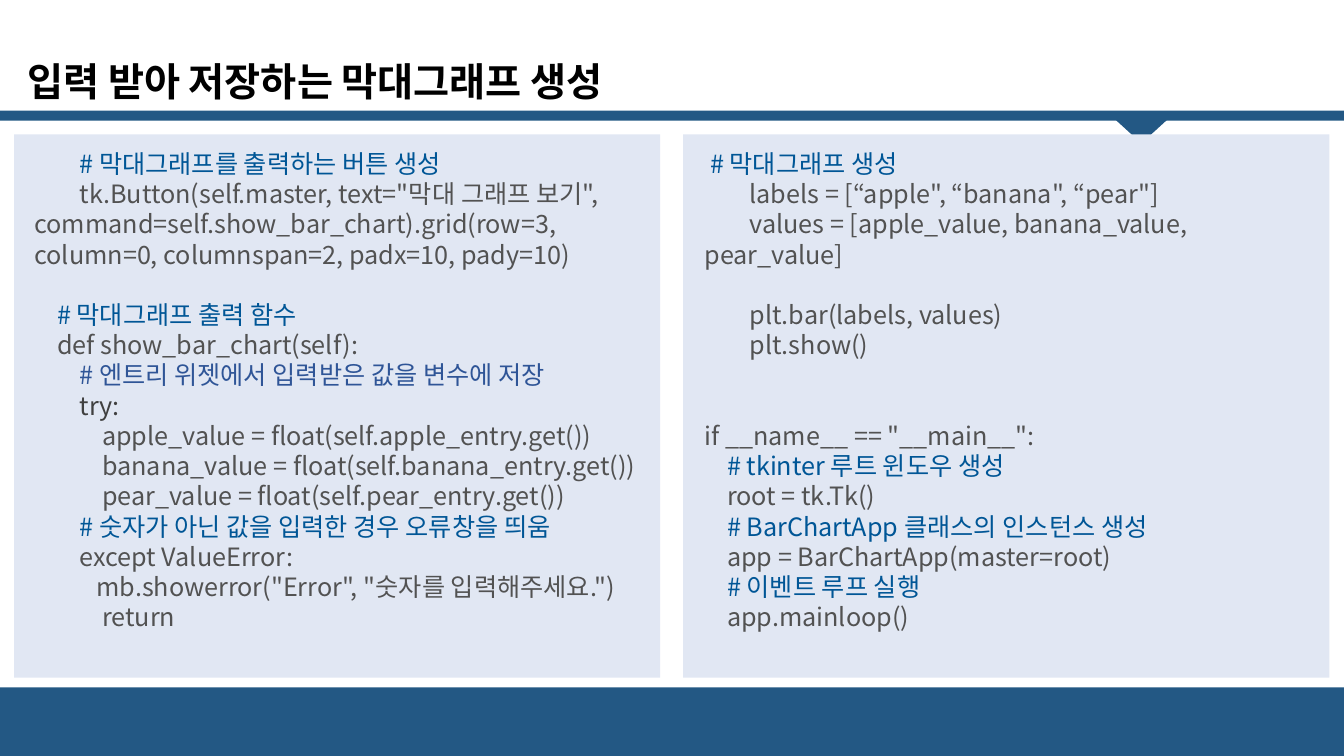
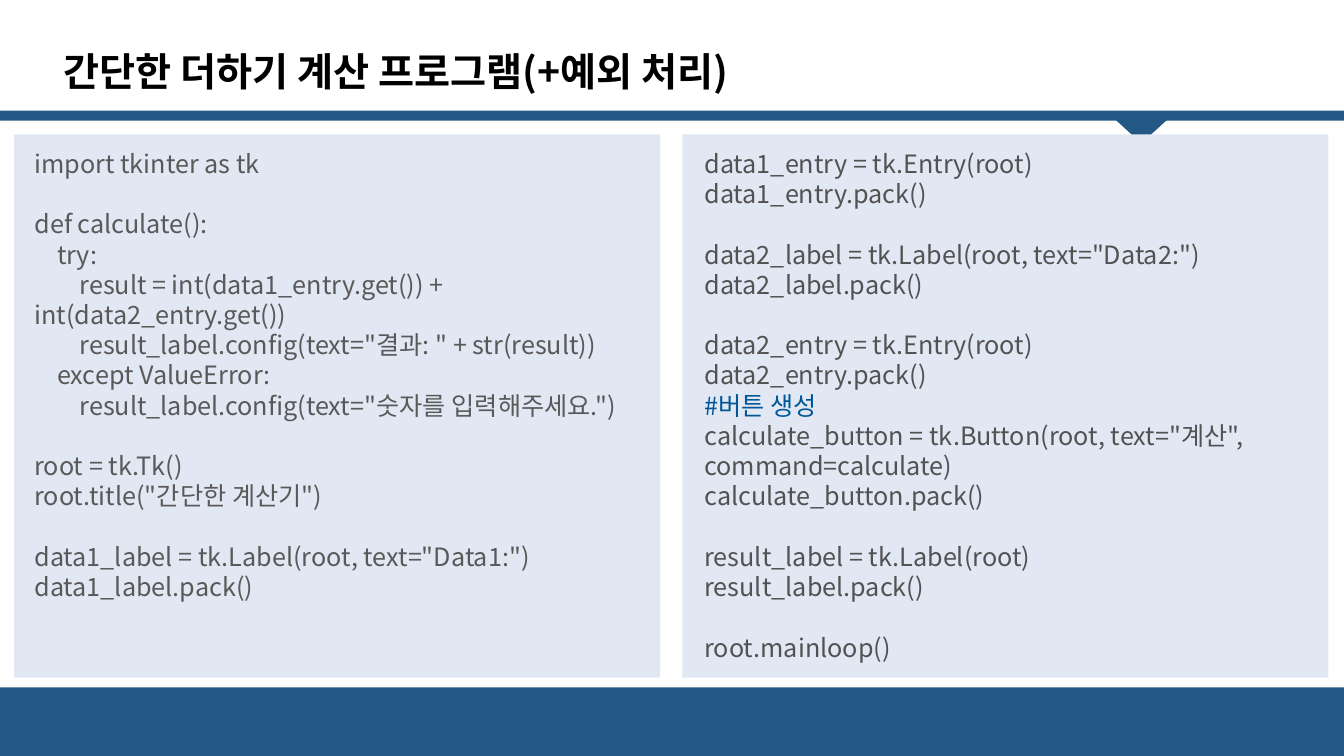
from lxml.etree import SubElement
from pptx import Presentation
from pptx.dml.color import RGBColor
from pptx.enum.shapes import MSO_SHAPE
from pptx.enum.text import MSO_ANCHOR, MSO_AUTO_SIZE, PP_ALIGN
from pptx.oxml.ns import qn
from pptx.util import Pt

FONT = "Noto Sans CJK KR"
BLUE, PANEL, COMMENT = "235884", "E1E7F3", "005696"
CODE_SIZE, SPACE_WIDTH, LINE_FACTOR = 18, 4.03, 1.2
PANEL_TOP, PANEL_WIDTH, PANEL_HEIGHT = 96, 461.5, 388
CODE_TOP = 102.2

# Content: titles with their places, code for the two panels
SLIDES = [
    {
        "title": "입력 받아 저장하는 막대그래프 생성",
        "title_at": (12.2, 37.4, 479, 41),
        "panel_lefts": (10, 488),
        "code_height": 356,
        "code_colors": ("525252", "525252"),
        "line_colors": {
            "        # 엔트리 위젯에서 입력받은 값을 변수에 저장": "2F5597",
            "        try:": "404040",
        },
        "code": ("""\
        # 막대그래프를 출력하는 버튼 생성
        tk.Button(self.master, text="막대 그래프 보기", command=self.show_bar_chart).grid(row=3, column=0, columnspan=2, padx=10, pady=10)

    # 막대그래프 출력 함수
    def show_bar_chart(self):
        # 엔트리 위젯에서 입력받은 값을 변수에 저장
        try:
            apple_value = float(self.apple_entry.get())
            banana_value = float(self.banana_entry.get())
            pear_value = float(self.pear_entry.get())
        # 숫자가 아닌 값을 입력한 경우 오류창을 띄움
        except ValueError:
           mb.showerror("Error", "숫자를 입력해주세요.")
            return""", """\
 # 막대그래프 생성
        labels = [“apple", “banana", “pear"]
        values = [apple_value, banana_value, pear_value]

        plt.bar(labels, values)
        plt.show()


if __name__ == "__main__":
    # tkinter 루트 윈도우 생성
    root = tk.Tk()
    # BarChartApp 클래스의 인스턴스 생성
    app = BarChartApp(master=root)
    # 이벤트 루프 실행
    app.mainloop()"""),
    },
    {
        "title": "간단한 더하기 계산 프로그램(+예외 처리)",
        "title_at": (38.2, 30.2, 557, 41),
        "panel_lefts": (10, 487.4),
        "code_height": 378,
        "code_colors": ("595959", "525252"),
        "line_colors": {},
        "code": ("""\
import tkinter as tk

def calculate():
    try:
        result = int(data1_entry.get()) + int(data2_entry.get())
        result_label.config(text="결과: " + str(result))
    except ValueError:
        result_label.config(text="숫자를 입력해주세요.")

root = tk.Tk()
root.title("간단한 계산기")

data1_label = tk.Label(root, text="Data1:")
data1_label.pack()""", """\
data1_entry = tk.Entry(root)
data1_entry.pack()

data2_label = tk.Label(root, text="Data2:")
data2_label.pack()

data2_entry = tk.Entry(root)
data2_entry.pack()
#버튼 생성
calculate_button = tk.Button(root, text="계산", command=calculate)
calculate_button.pack()

result_label = tk.Label(root)
result_label.pack()

root.mainloop()"""),
    },
]


def add_block(page, kind, left, top, width, height, color):
    block = page.shapes.add_shape(kind, Pt(left), Pt(top), Pt(width), Pt(height))
    block.shadow.inherit = False
    block.fill.solid()
    block.fill.fore_color.rgb = RGBColor.from_string(color)
    block.line.fill.background()
    return block


def add_lines(page, box, place, lines, size, bold, line_color):
    """Fill a placeholder; leading spaces become indents, empty lines become gaps."""
    page.shapes._spTree.append(box._element)  # in front of the panels
    box.left, box.top, box.width, box.height = [Pt(value) for value in place]
    frame = box.text_frame
    frame.word_wrap = True
    frame.auto_size = MSO_AUTO_SIZE.NONE
    frame.vertical_anchor = MSO_ANCHOR.TOP
    pitch = size * LINE_FACTOR
    para, gaps = None, 0
    for line in lines:
        text = line.lstrip()
        if not text:
            gaps += 1
            continue
        para = frame.add_paragraph() if para else frame.paragraphs[0]
        properties = para._p.get_or_add_pPr()
        properties.set("marL", "0")
        properties.set("indent", str(Pt((len(line) - len(text)) * SPACE_WIDTH)))
        SubElement(properties, qn("a:buNone"))
        para.alignment = PP_ALIGN.LEFT
        para.line_spacing = Pt(pitch)
        para.space_before = Pt(gaps * pitch)
        para.font.name = FONT
        para.font.size = Pt(size)
        para.font.bold = bold
        para.font.color.rgb = RGBColor.from_string(line_color(line))
        SubElement(properties.find(qn("a:defRPr")), qn("a:ea"), typeface=FONT)
        para.add_run().text = text
        gaps = 0


deck = Presentation()
deck.slide_width, deck.slide_height = Pt(960), Pt(540)
two_content = deck.slide_layouts[3]

for content in SLIDES:
    page = deck.slides.add_slide(two_content)
    title, *code_boxes = page.placeholders

    # Bands and pointer
    add_block(page, MSO_SHAPE.RECTANGLE, 0, 491, 960, 49, BLUE)
    add_block(page, MSO_SHAPE.RECTANGLE, 0, 79, 960, 7.2, BLUE)
    pointer = add_block(page, MSO_SHAPE.ISOSCELES_TRIANGLE, 794, 83, 42.5, 19.4, BLUE)
    pointer.rotation = 180

    # Title
    add_lines(page, title, content["title_at"], [content["title"]], 28, True,
              lambda line: "000000")

    # Code panels
    for left in content["panel_lefts"]:
        add_block(page, MSO_SHAPE.RECTANGLE, left, PANEL_TOP,
                  PANEL_WIDTH, PANEL_HEIGHT, PANEL)
    columns = zip(code_boxes, ((17.4, 454.4), (496, 446.4)),
                  content["code"], content["code_colors"])
    for box, (left, width), code, code_color in columns:
        def color_of(line):
            usual = COMMENT if line.lstrip().startswith("#") else code_color
            return content["line_colors"].get(line, usual)

        add_lines(page, box, (left, CODE_TOP, width, content["code_height"]),
                  code.splitlines(), CODE_SIZE, False, color_of)

deck.save("out.pptx")
